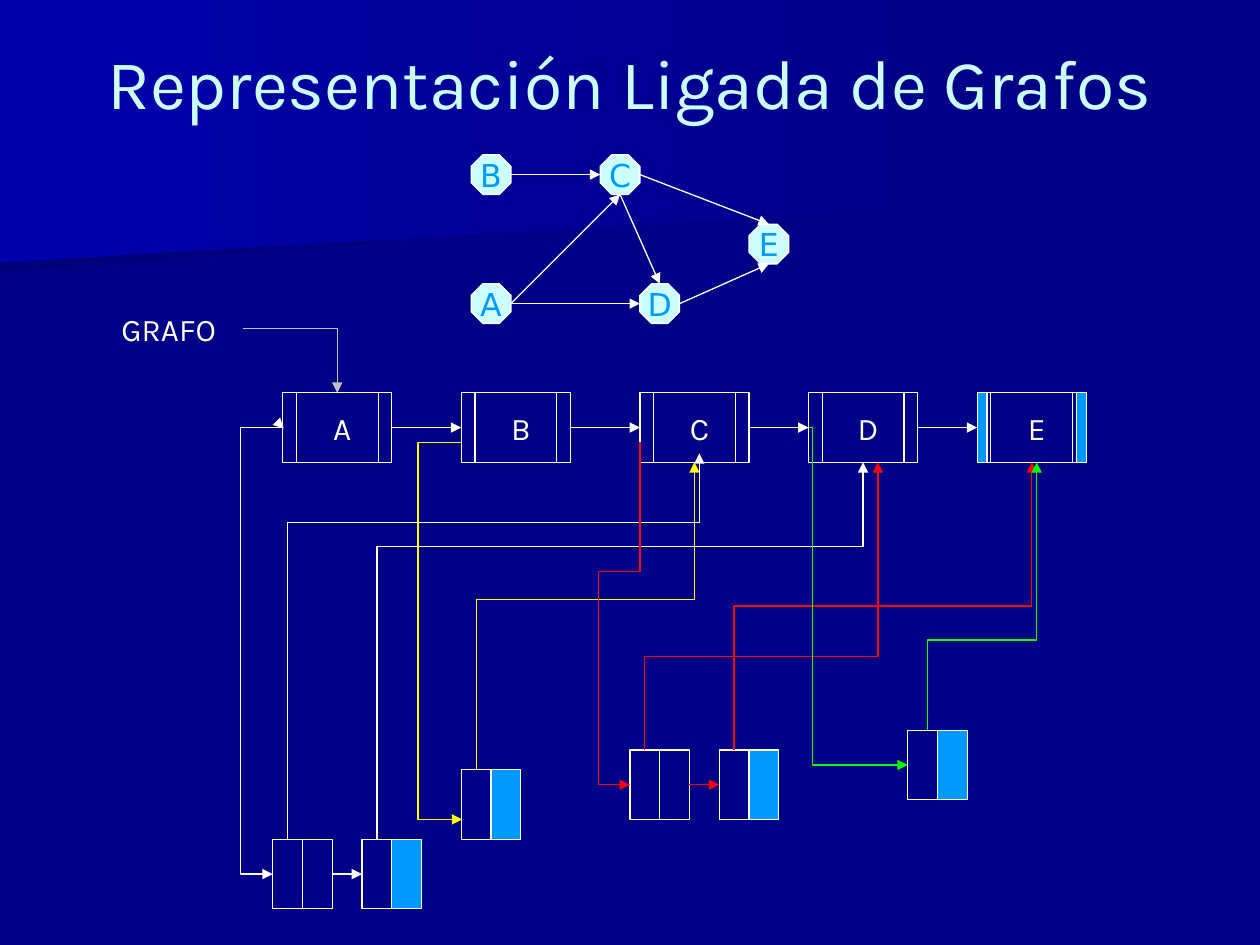
import pptx
import pptx.dml.color
import pptx.enum.dml
import pptx.enum.shapes
import pptx.enum.text
import pptx.oxml
import pptx.oxml.ns
import pptx.util

Cm = pptx.util.Cm
KIND = pptx.enum.shapes.MSO_SHAPE
LINK = pptx.enum.shapes.MSO_CONNECTOR
HUES = {"navy": "000086", "dark": "00007D", "royal": "0000AC", "ice": "CCFFFF",
        "sky": "0099FF", "white": "FFFFFF", "red": "FF0000",
        "yellow": "FFFF00", "green": "00FF00", "gray": "C0C0C0"}

# Content, all lengths in centimetres
TITLE = "Representación Ligada de Grafos"
ROOT = "GRAFO"
BANDS = [  # outline, left hue, right hue
    ([(0, 2.57), (19.79, 2.57), (19.76, 3.89), (0, 5.51)], "dark", "navy"),
    ([(0, 0), (20.12, 0), (20.12, 4.11), (0, 5.28)], "royal", "navy"),
]
NODES = {"B": (9.5, 3.12), "C": (12.1, 3.12), "D": (12.9, 5.72),
         "E": (15.1, 4.52), "A": (9.5, 5.72)}
EDGES = ["D right E bottom", "A right D left", "A right C bottom",
         "C bottom D top", "C right E top", "B right C left"]
HEADS = {"A": 5.7, "B": 9.3, "C": 12.9, "D": 16.3, "E": 19.7}
CELLS = [  # left, top, is last in its list
    (5.5, 16.92, False), (7.3, 16.92, True), (9.3, 15.52, True),
    (12.7, 15.12, False), (14.5, 15.12, True), (18.3, 14.72, True)]
BENDS = [  # hue, first axis (0 across, 1 down), start, then one coordinate a turn
    ("white", 0, (5.7, 8.62), (4.85, 17.62, 5.5)),
    ("white", 1, (5.8, 16.92), (10.54, 14.1, 9.14)),
    ("white", 1, (7.6, 16.92), (11.02, 17.4, 9.32)),
    ("yellow", 0, (9.3, 8.92), (8.43, 16.52, 9.32)),
    ("yellow", 1, (9.6, 15.52), (12.09, 14, 9.32)),
    ("red", 1, (12.9, 8.92), (11.53, 12.06, 15.82, 12.7)),
    ("red", 1, (13, 15.12), (13.23, 17.7, 9.32)),
    ("red", 1, (14.8, 15.12), (12.22, 20.8, 9.32)),
    ("green", 0, (16.3, 8.62), (16.38, 15.42, 18.3)),
    ("green", 1, (18.7, 14.72), (12.9, 20.9, 9.32)),
    ("gray", 0, (4.9, 6.63), (6.8, 7.92)),
]
SIDE = 0.8
PORTS = {"left": (0, 0.5), "right": (1, 0.5), "top": (0.5, 0), "bottom": (0.5, 1)}
ROW, WIDE, HIGH, CELL, EDGE = 7.92, 2.2, 1.4, 0.6, 0.2
MID = ROW + HIGH / 2

deck = pptx.Presentation()
deck.slide_width, deck.slide_height = Cm(25.4), Cm(19.05)
slide = deck.slides.add_slide(deck.slide_layouts[5])


def tint(name):
    return pptx.dml.color.RGBColor.from_string(HUES[name])


def apply(thing, looks):
    for key, value in looks.items():
        setattr(thing, key, value)


def write(shape, text, size, font, hue, **frame):
    apply(shape.text_frame, frame)
    par = shape.text_frame.paragraphs[0]
    par.text = text
    par.alignment = pptx.enum.text.PP_ALIGN.CENTER
    apply(par.runs[0].font, {"size": pptx.util.Pt(size), "name": font})
    par.runs[0].font.color.rgb = tint(hue)
    return par


def stroke(shape, hue):
    shape.line.color.rgb = tint(hue)
    shape.line.width = pptx.util.Pt(0.75)


def block(kind, x, y, w, h, fill=None):
    shape = slide.shapes.add_shape(kind, Cm(x), Cm(y), Cm(w), Cm(h))
    shape.shadow.inherit = False
    if fill:
        shape.fill.solid()
        shape.fill.fore_color.rgb = tint(fill)
    else:
        shape.fill.background()
    stroke(shape, "white")
    return shape


def label(text, x, y, w):
    box = slide.shapes.add_textbox(Cm(x), Cm(y), Cm(w), Cm(1.02))
    par = write(box, text, 18, "Karla", "white", word_wrap=True,
                auto_size=pptx.enum.text.MSO_AUTO_SIZE.SHAPE_TO_FIT_TEXT)
    par.space_before = pptx.util.Pt(11.2)


def arrow(start, end, hue="white", kind=LINK.STRAIGHT):
    link = slide.shapes.add_connector(kind, *(Cm(v) for v in (*start, *end)))
    stroke(link, hue)
    tail = pptx.oxml.parse_xml(
        f'<a:tailEnd {pptx.oxml.ns.nsdecls("a")} type="triangle"/>')
    link.line._get_or_add_ln().append(tail)
    link.element.spPr.append(pptx.oxml.parse_xml(
        f'<a:effectLst {pptx.oxml.ns.nsdecls("a")}/>'))
    return link


def bend(hue, axis, start, turns):
    end = list(start)
    for i, turn in enumerate(turns):
        end[(axis + i) % 2] = turn
    first, last = start, end
    if axis:  # a path that starts downward is laid flat, then turned 90 degrees
        cx, cy = ((a + b) / 2 for a, b in zip(start, end))
        dx, dy = end[0] - start[0], end[1] - start[1]
        first, last = (cx - dy / 2, cy + dx / 2), (cx + dy / 2, cy - dx / 2)
    link = arrow(first, last, hue, LINK.ELBOW)
    props = link.element.spPr
    if axis:
        props.xfrm.set("rot", "5400000")
    shape = props.find(pptx.oxml.ns.qn("a:prstGeom"))
    shape.set("prst", f"bentConnector{len(turns)}")
    guides = shape.get_or_add_avLst()
    for i, turn in enumerate(turns[:-2]):
        k = (axis + i) % 2
        share = round(100000 * (turn - start[k]) / (end[k] - start[k]))
        guides.append(pptx.oxml.parse_xml(
            f'<a:gd {pptx.oxml.ns.nsdecls("a")} name="adj{i + 1}" fmla="val {share}"/>'))


def port(name, side):
    return [p + SIDE * part for p, part in zip(NODES[name], PORTS[side])]


# Background bands, behind the title
slide.background.fill.solid()
slide.background.fill.fore_color.rgb = tint("navy")
for i, (points, left, right) in enumerate(BANDS):
    spots = [(Cm(x), Cm(y)) for x, y in points]
    pen = slide.shapes.build_freeform(*spots[0])
    pen.add_line_segments(spots[1:], close=True)
    band = pen.convert_to_shape()
    band.shadow.inherit = False
    band.line.fill.background()
    band.fill.gradient()
    band.fill.gradient_angle = 180
    for stop, hue in zip(band.fill.gradient_stops, (right, left)):
        stop.color.rgb = tint(hue)
    slide.shapes.element.insert(2 + i, band.element)

# Title
title = slide.shapes.title
apply(title, {"left": Cm(1.27), "top": Cm(0.76), "width": Cm(22.83), "height": Cm(1.75)})
write(title, TITLE, 40, "Karla", "ice",
      vertical_anchor=pptx.enum.text.MSO_ANCHOR.MIDDLE)

# Graph
for name, (x, y) in NODES.items():
    node = block(KIND.OCTAGON, x, y, SIDE, SIDE, "ice")
    write(node, name, 18, "DejaVu Sans", "sky", word_wrap=False)
for edge in EDGES:
    a, out, b, into = edge.split()
    arrow(port(a, out), port(b, into))

# Row of list heads
for name, x in HEADS.items():
    block(KIND.FLOWCHART_PREDEFINED_PROCESS, x, ROW, WIDE, HIGH)
    label(name, x + 0.6, 8.13, 1.2)
row = list(HEADS.values())
for x, after in zip(row, row[1:]):
    arrow((x + WIDE, MID), (after, MID))
for x in (row[-1] + WIDE - EDGE, row[-1]):
    block(KIND.RECTANGLE, x, ROW, EDGE, HIGH, "sky")

# List cells: a link to a head, then a link to the next cell
for i, (x, y, last) in enumerate(CELLS):
    block(KIND.RECTANGLE, x, y, CELL, HIGH)
    block(KIND.RECTANGLE, x + CELL, y, CELL, HIGH, "sky" if last else None)
    if not last:
        arrow((x + 2 * CELL, y + HIGH / 2), (CELLS[i + 1][0], y + HIGH / 2),
              "white" if i == 0 else "red")

# Bent links and the root
arrow((row[0], MID), (row[0] + 0.02, MID + 0.02))
for item in BENDS:
    bend(*item)
label(ROOT, 1.9, 6.12, 3)

deck.save("out.pptx")
